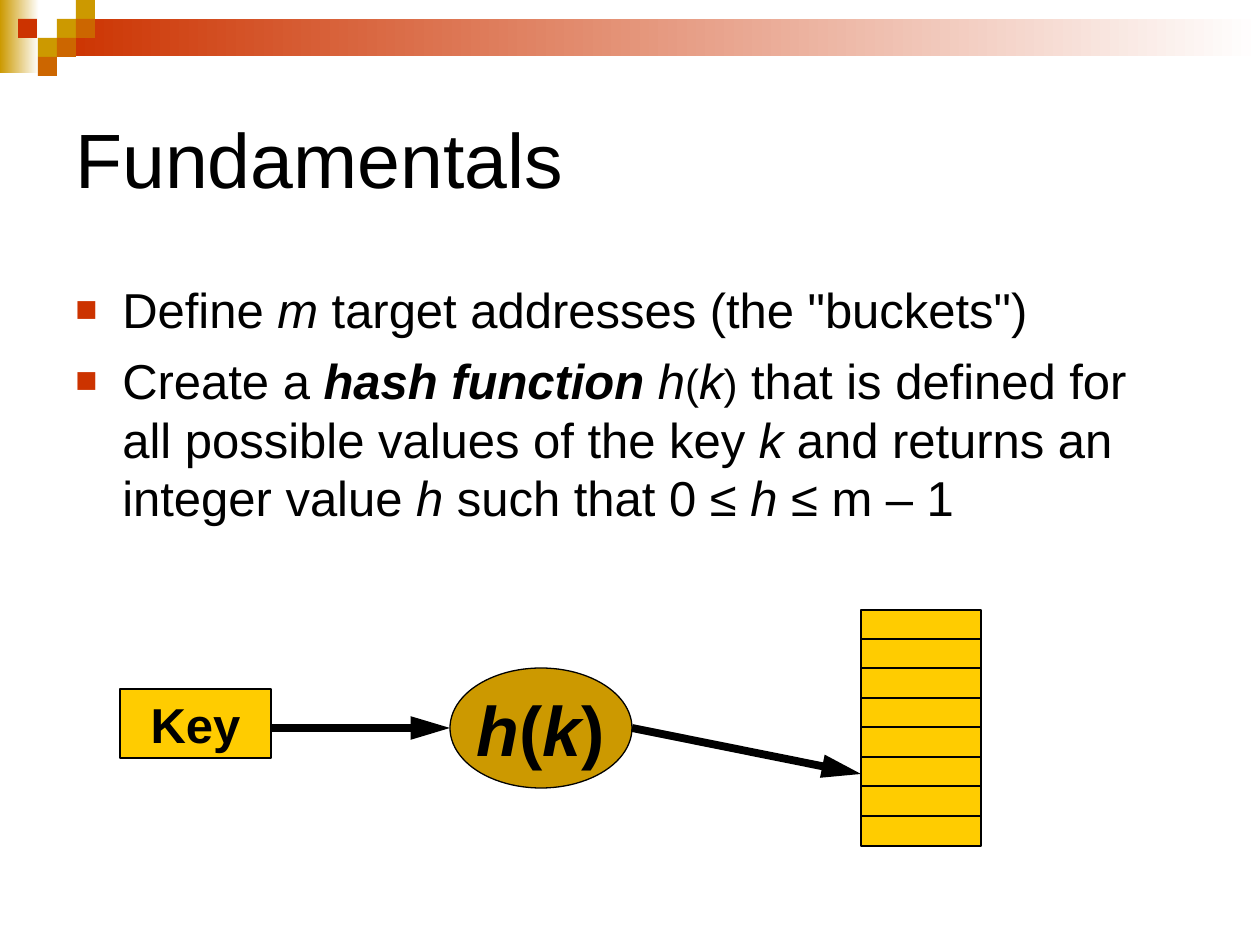
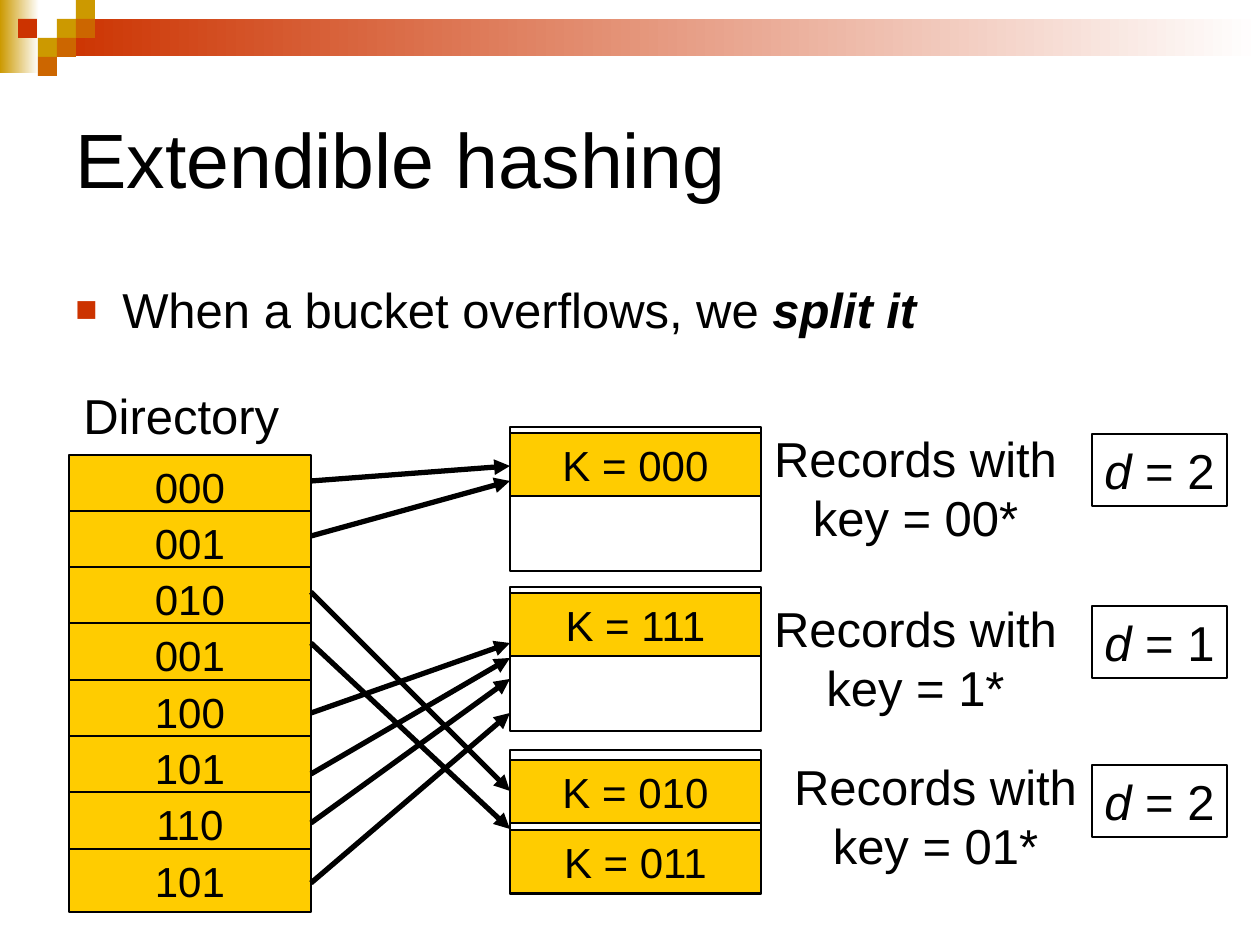
from lxml import etree
from pptx import Presentation
from pptx.dml.color import RGBColor
from pptx.enum.shapes import MSO_CONNECTOR, MSO_SHAPE
from pptx.enum.text import MSO_ANCHOR, PP_ALIGN
from pptx.oxml.ns import qn
from pptx.util import Pt

SCALE = 914400 / 126
FONT = "Arial"
COLORS = {"text": "000000", "red": "CC3300", "ochre": "CC9900",
          "orange": "CC6600", "yellow": "FFCC00", "white": "FFFFFF"}
RECT, OVAL = MSO_SHAPE.RECTANGLE, MSO_SHAPE.OVAL
STRAIGHT = MSO_CONNECTOR.STRAIGHT
LEFT, CENTER = PP_ALIGN.LEFT, PP_ALIGN.CENTER
TOP, MIDDLE = MSO_ANCHOR.TOP, MSO_ANCHOR.MIDDLE
CELL = 19
MOSAIC = [(57, 1, "ochre"), (76, 0, "ochre"), (76, 1, "orange"), (38, 2, "ochre"),
          (18, 1, "red"), (57, 2, "orange"), (38, 3, "orange")]


def px(n):
    """Turn px into EMU."""
    return round(n * SCALE)


def rgb(name):
    """Look up a named colour."""
    return RGBColor.from_string(COLORS[name])


def add_runs(p, runs, size):
    """Add (text, style, size) runs, where style holds b and i flags."""
    for text, style, *own_size in runs:
        for i, line in enumerate(text.split("\n")):
            if i:
                p.add_line_break()
            r = p.add_run()
            r.text = line
            r.font.name = FONT
            r.font.size = Pt(own_size[0] if own_size else size)
            r.font.bold = "b" in style
            r.font.italic = "i" in style
            r.font.color.rgb = rgb("text")


def set_text(sp, runs, size, align=CENTER, anchor=MIDDLE, wrap=False):
    """Write one paragraph into a shape, without side insets unless it wraps."""
    tf = sp.text_frame
    tf.word_wrap = wrap
    if not wrap:
        tf.margin_left = tf.margin_right = 0
    tf.vertical_anchor = anchor
    p = tf.paragraphs[0]
    p.alignment = align
    add_runs(p, runs, size)


def add_box(s, box, fill=None, line=None, kind=RECT):
    """Add a preset shape with an optional fill and outline."""
    sp = s.shapes.add_shape(kind, *map(px, box))
    sp.shadow.inherit = False
    if fill:
        sp.fill.solid()
        sp.fill.fore_color.rgb = rgb(fill)
    else:
        sp.fill.background()
    if line:
        sp.line.color.rgb = rgb("text")
        sp.line.width = Pt(line)
    else:
        sp.line.fill.background()
    return sp


def add_fade(s, box, color):
    """Add a band fading from a colour to white."""
    sp = add_box(s, box, color)
    sp.fill.gradient()
    sp.fill.gradient_angle = 0
    for stop, name, position in zip(sp.fill.gradient_stops, (color, "white"), (0, 1)):
        stop.color.rgb = rgb(name)
        stop.position = position


def add_label(s, box, runs, size, **style):
    """Add a text box."""
    sp = s.shapes.add_textbox(*map(px, box))
    set_text(sp, runs, size, **style)


def add_arrow(s, start, end, width, length="med"):
    """Add a straight arrow."""
    sp = s.shapes.add_connector(STRAIGHT, *map(px, start + end))
    sp.line.color.rgb = rgb("text")
    sp.line.width = Pt(width)
    etree.SubElement(sp.line._get_or_add_ln(), qn("a:tailEnd"),
                     type="triangle", w="med", len=length)
    etree.SubElement(sp._element.spPr, qn("a:effectLst"))


def add_bullets(s, box, items):
    """Add a list with square red bullets."""
    tf = s.shapes.add_textbox(*map(px, box)).text_frame
    tf.word_wrap = True
    tf.vertical_anchor = TOP
    for i, runs in enumerate(items):
        p = tf.add_paragraph() if i else tf.paragraphs[0]
        if i:
            p.space_before = Pt(7)
        pPr = p._p.get_or_add_pPr()
        pPr.set("marL", str(px(47)))
        pPr.set("indent", str(px(-47)))
        color = etree.SubElement(pPr, qn("a:buClr"))
        etree.SubElement(color, qn("a:srgbClr"), val=COLORS["red"])
        etree.SubElement(pPr, qn("a:buSzPct"), val="75000")
        etree.SubElement(pPr, qn("a:buFont"), typeface=FONT)
        etree.SubElement(pPr, qn("a:buChar"), char="■")
        add_runs(p, runs, 28)


def add_stack(s, box, labels, cell_h, line):
    """Spread equal yellow cells down a box."""
    x, y, w, h = box
    for i, label in enumerate(labels):
        top = y + i * (h - cell_h) // (len(labels) - 1)
        sp = add_box(s, (x, top, w, cell_h), "yellow", line)
        if label:
            set_text(sp, [(label, "")], 24)


def add_bucket(s, box, records, label, label_at, depth, depth_dy):
    """Add a bucket frame with its records, key label and local depth."""
    x, y, w, h = box
    for dy, record in records:
        sp = add_box(s, (x, y + dy, w, 63), "yellow", 1.5)
        set_text(sp, [(record, "")], 24)
    add_box(s, box, line=1.5)
    dx, dy = label_at
    add_label(s, (x + w + dx, y + dy, 307, 131), [(label, "")], 28)
    sp = add_box(s, (x + 582, y + depth_dy, 135, 72), line=1.5)
    set_text(sp, [("d", "i"), (f" = {depth}", "")], 28)


def add_links(s, box, links):
    """Draw arrows across a box from left to right heights."""
    x, y, w, _ = box
    for start, end in links:
        add_arrow(s, (x, y + start), (x + w, y + end), 3)


def add_hash_flow(s, box):
    """Draw key, hash function and the table it points into."""
    x, y, w, h = box
    mid = y + 118
    sp = add_box(s, (x, y + 79, 151, 69), "yellow", 0.75)
    set_text(sp, [("Key", "b")], 28)
    sp = add_box(s, (x + 330, y + 58, 182, 120), "ochre", 0.75, OVAL)
    set_text(sp, [("h", "bi"), ("(", "b"), ("k", "bi"), (")", "b")], 40)
    add_arrow(s, (x + 151, mid), (x + 330, mid), 4.5, "lg")
    add_stack(s, (x + w - 120, y, 120, h), [""] * 8, 30, 0.75)
    add_arrow(s, (x + 512, mid), (x + w - 120, mid + 46), 4.5, "lg")


def new_slide(prs, title):
    """Add a slide with the shared band, mosaic and title."""
    s = prs.slides.add_slide(prs.slide_layouts[6])
    add_fade(s, (0, 0, 39, 73), "ochre")
    add_fade(s, (57, CELL, 1203, 37), "red")
    for x, row, color in MOSAIC:
        add_box(s, (x, row * CELL, CELL, CELL), color)
    add_label(s, (63, 63, 1134, 189), [(title, "")], 44, align=LEFT, wrap=True)
    return s


def fundamentals_slide(prs):
    """Build the slide on hash functions."""
    s = new_slide(prs, "Fundamentals")
    add_bullets(s, (63, 273, 1134, 536), [
        [("Define ", ""), ("m", "i"), (' target addresses (the "buckets")', "")],
        [("Create a ", ""), ("hash function", "bi"), (" h", "i"), ("(", "", 24),
         ("k", "i"), (")", "", 24),
         (" that is defined for all possible values of the key ", ""), ("k ", "i"),
         ("and returns an integer value ", ""), ("h", "i"),
         (" such that 0 ≤ ", ""), ("h ", "i"), ("≤ m – 1", "")]])
    add_hash_flow(s, (120, 610, 861, 236))


def extendible_slide(prs):
    """Build the slide on splitting buckets."""
    s = new_slide(prs, "Extendible hashing")
    add_bullets(s, (63, 273, 1134, 73),
                [[("When a bucket overflows, we ", ""), ("split it", "bi")]])
    add_label(s, (71, 379, 242, 72), [("Directory", "")], 28,
              align=LEFT, anchor=TOP, wrap=True)
    add_stack(s, (69, 455, 242, 457),
              ["000", "001", "010", "001", "100", "101", "110", "101"], 63, 1.5)
    buckets = [
        (427, [(6, "K = 000")], "00*", (1, -5), 2, 7),
        (587, [(6, "K = 111")], "1*", (1, 5), 1, 19),
        (750, [(80, "K = 011"), (10, "K = 010")], "01*", (21, 0), 2, 15)]
    for y, records, key, label_at, depth, depth_dy in buckets:
        add_bucket(s, (510, y, 251, 144), records, f"Records with\nkey = {key}",
                   label_at, depth, depth_dy)
    add_links(s, (311, 455, 199, 457),
              [(26, 11), (81, 26), (137, 336), (188, 374),
               (258, 188), (319, 203), (368, 224), (428, 258)])


def main():
    """Build and save the slides."""
    prs = Presentation()
    prs.slide_width, prs.slide_height = px(1260), px(945)
    fundamentals_slide(prs)
    extendible_slide(prs)
    prs.save("out.pptx")


if __name__ == "__main__":
    main()
